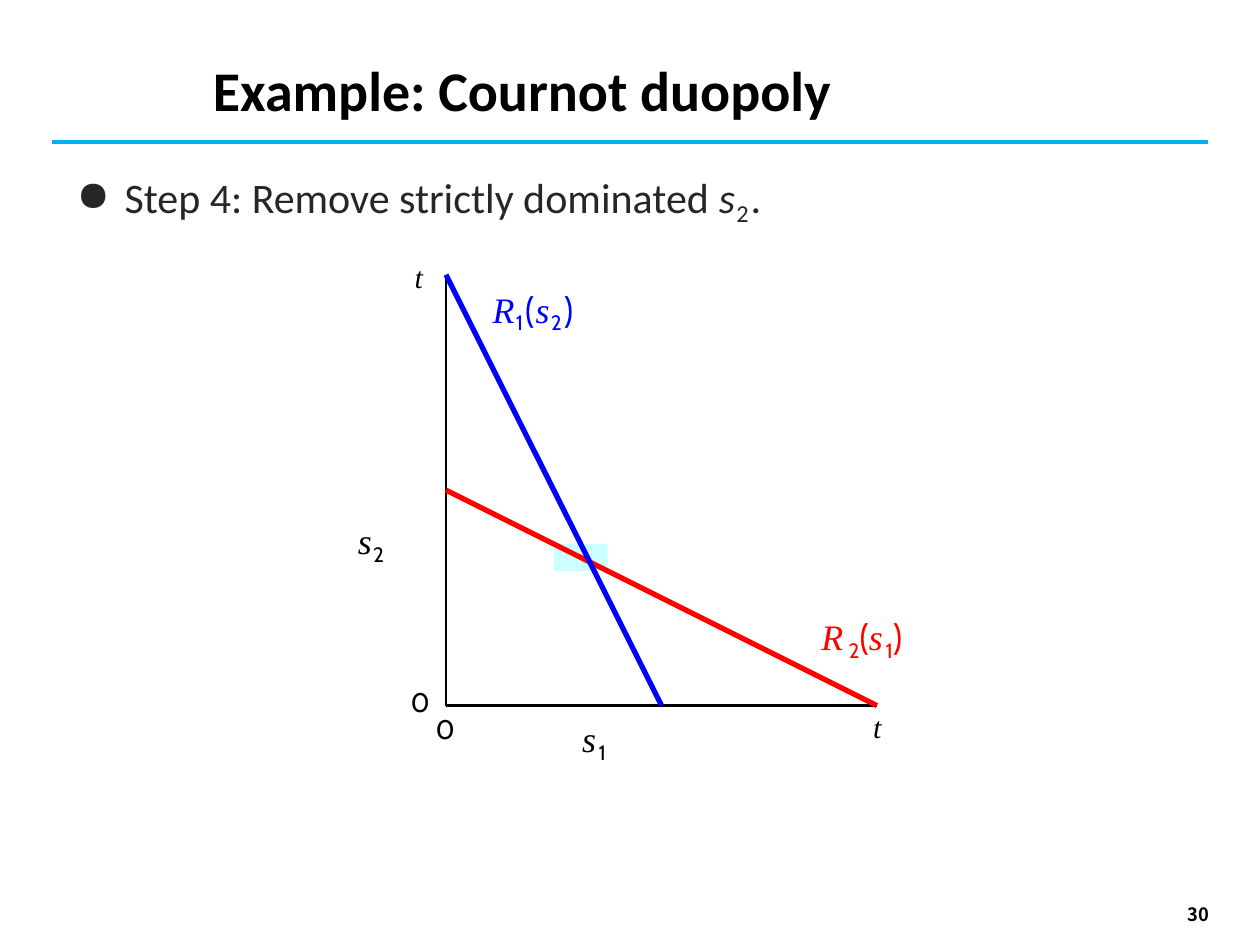
from lxml.etree import SubElement
from pptx import Presentation
from pptx.dml.color import RGBColor
from pptx.enum.shapes import MSO_CONNECTOR as Connector, MSO_SHAPE as Shape
from pptx.enum.text import MSO_ANCHOR as Anchor, PP_ALIGN as Align
from pptx.oxml.ns import qn
from pptx.util import Inches, Pt

WIDTH, HEIGHT = 10, 7.5
ORIGIN_X, ORIGIN_Y, UNIT = 3.54, 5.6, 3.42  # the unit is the strategy t
BLACK, BLUE, RED = "000000", "0000FF", "FF0000"
SERIF, SANS, BODY = "Times New Roman", "Cabin", "Calibri"


def color(value):
    return RGBColor.from_string(value)


def graph_point(s1, s2):
    """Turn strategies, as shares of t, into a place on the slide."""
    return ORIGIN_X + s1 * UNIT, ORIGIN_Y - s2 * UNIT


def add_line(slide, start, end, line_color, width):
    ends = [Inches(value) for value in (*start, *end)]
    line = slide.shapes.add_connector(Connector.STRAIGHT, *ends)
    line.line.color.rgb = color(line_color)
    line.line.width = Pt(width)
    SubElement(line._element.spPr, qn("a:effectLst"))


def add_region(slide, left_top, right_bottom, fill):
    (left, top), (right, bottom) = left_top, right_bottom
    region = slide.shapes.add_shape(
        Shape.RECTANGLE, *map(Inches, (left, top, right - left, bottom - top)))
    region.shadow.inherit = False
    region.fill.solid()
    region.fill.fore_color.rgb = color(fill)
    region.line.fill.background()


def add_box(slide, left, top, width, height, inset=True):
    box = slide.shapes.add_textbox(*map(Inches, (left, top, width, height)))
    frame = box.text_frame
    frame.word_wrap = True
    if not inset:
        frame.margin_left = frame.margin_right = 0
        frame.margin_top = frame.margin_bottom = 0
    return frame


def style(paragraph, size, font_color, name, bold=False):
    font = paragraph.font
    font.size, font.name, font.bold = Pt(size), name, bold
    font.color.rgb = color(font_color)


def add_run(paragraph, text, spacing=0, italic=False, subscript=False, name=None):
    run = paragraph.add_run()
    run.text = text
    run.font.italic = italic
    if name:
        run.font.name = name
    properties = run._r.get_or_add_rPr()
    properties.set("spc", str(round(spacing * 100)))
    if subscript:
        properties.set("baseline", "-21000")


def add_formula(slide, left, top, width, parts, font_color=BLACK, size=20.5):
    """Write (text, spacing) parts: italic letters, lowered digits, upright signs."""
    paragraph = add_box(slide, left, top, width, 0.35, inset=False).paragraphs[0]
    style(paragraph, size, font_color, SANS)
    for text, spacing in parts:
        letter = text.isalpha()
        add_run(paragraph, text, spacing, letter, text.isdigit(),
                SERIF if letter else SANS)


def add_heading(slide):
    paragraph = add_box(slide, 1.69, 0.44, 7.8, 0.59, inset=False).paragraphs[0]
    paragraph.text = "Example: Cournot duopoly"
    style(paragraph, 32, BLACK, BODY, bold=True)
    margin, rule_y = 0.041 * WIDTH, 0.15 * HEIGHT
    add_line(slide, (margin, rule_y), (WIDTH - margin, rule_y), "00B0F0", 2.25)


def add_step(slide):
    paragraph = add_box(slide, 0.51, 1.31, 8.95, 0.6).paragraphs[0]
    properties = paragraph._p.get_or_add_pPr()
    properties.set("marL", str(Inches(0.38)))
    properties.set("indent", str(-Inches(0.38)))
    SubElement(properties, qn("a:buChar"), char="●")
    style(paragraph, 24, "262626", BODY)
    add_run(paragraph, "Step 4: Remove strictly dominated ")
    add_run(paragraph, "s", 0.7, italic=True)
    add_run(paragraph, "2", 1, subscript=True)
    add_run(paragraph, ".", 0.7)


def add_graph(slide):
    add_region(slide, graph_point(1 / 4, 3 / 8), graph_point(3 / 8, 5 / 16), "CCFFFF")
    for start, end, line_color, width in (
            ((0, 1), (0, 0), BLACK, 1.5),
            ((0, 0), (1, 0), BLACK, 1.5),
            ((0, 1 / 2), (1, 0), RED, 3),
            ((0, 1), (1 / 2, 0), BLUE, 3)):
        add_line(slide, graph_point(*start), graph_point(*end), line_color, width)


def add_graph_labels(slide):
    frame = add_box(slide, 3.26, 5.48, 0.35, 0.45, inset=False)
    frame.text = "0\n0"
    for paragraph, alignment in zip(frame.paragraphs, (Align.LEFT, Align.RIGHT)):
        paragraph.alignment = alignment
        paragraph.line_spacing = Pt(15.6)
        style(paragraph, 15.4, BLACK, SANS)

    add_formula(slide, 4.62, 5.69, 0.3, [("s", 1.5), ("1", 0)])
    add_formula(slide, 2.84, 4.12, 0.3, [("s", 0.8), ("2", 1.1)])
    add_formula(slide, 3.91, 2.28, 0.8, [
        ("R", 0.7), ("1", 1.1), ("(", 0.7), ("s", 0.7), ("2", 1.1), (")", 0.7)], BLUE)
    add_formula(slide, 6.52, 4.88, 0.8, [
        ("R", 3), ("2", 0), ("(", 0), ("s", 1.5), ("1", 0), (")", 0)], RED)
    for left, top in ((3.29, 2.05), (6.93, 5.62)):
        add_formula(slide, left, top, 0.15, [("t", 1.4)], size=17.1)


def add_slide_number(slide):
    frame = add_box(slide, 9.33, 7.14, 0.79, 0.23)
    frame.vertical_anchor = Anchor.MIDDLE
    frame.text = "30"
    style(frame.paragraphs[0], 10.5, BLACK, "Noto Sans CJK KR", bold=True)


def main():
    presentation = Presentation()
    presentation.slide_width = Inches(WIDTH)
    presentation.slide_height = Inches(HEIGHT)
    slide = presentation.slides.add_slide(presentation.slide_layouts[6])
    add_slide_number(slide)
    add_heading(slide)
    add_step(slide)
    add_graph(slide)
    add_graph_labels(slide)
    presentation.save("out.pptx")


if __name__ == "__main__":
    main()
